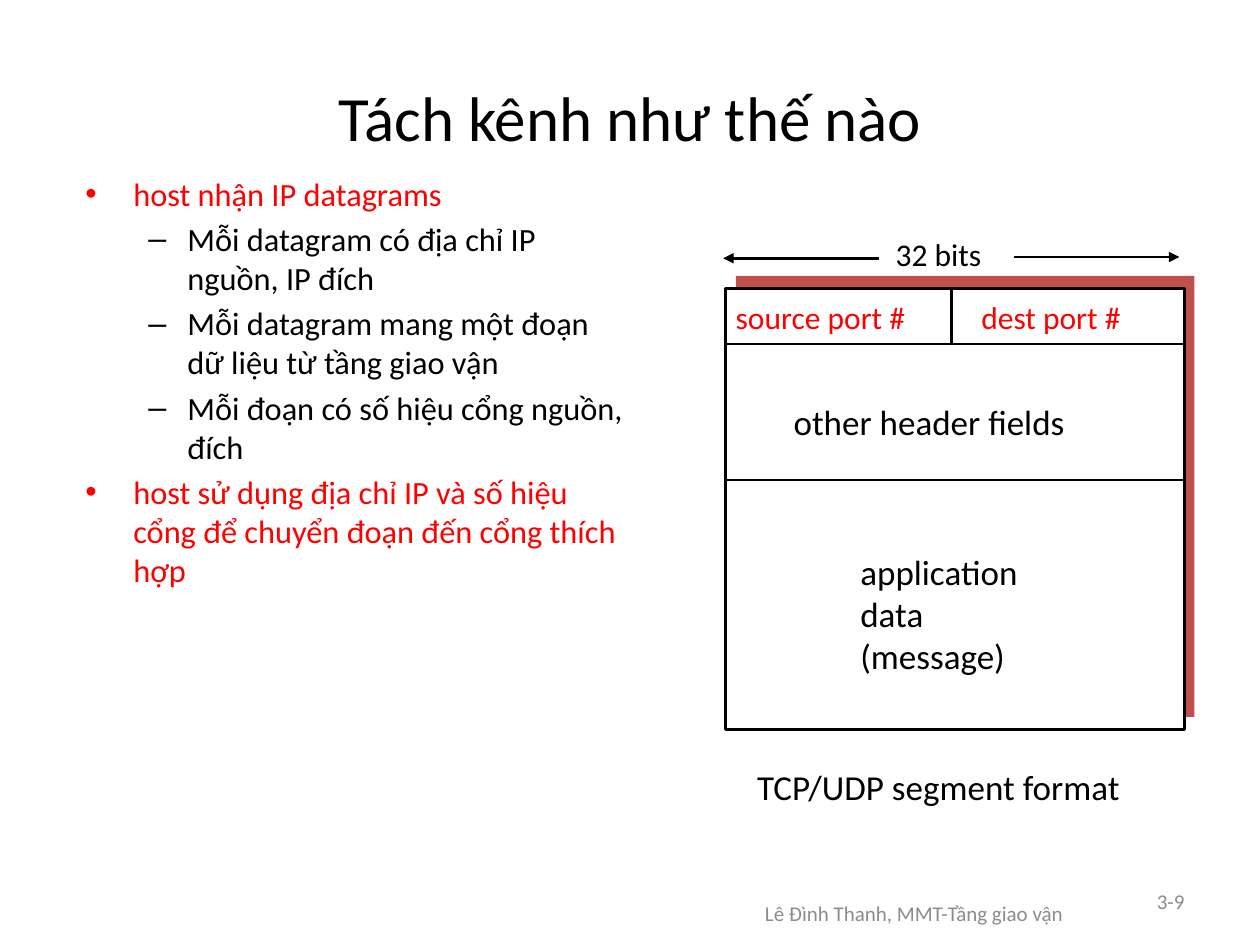
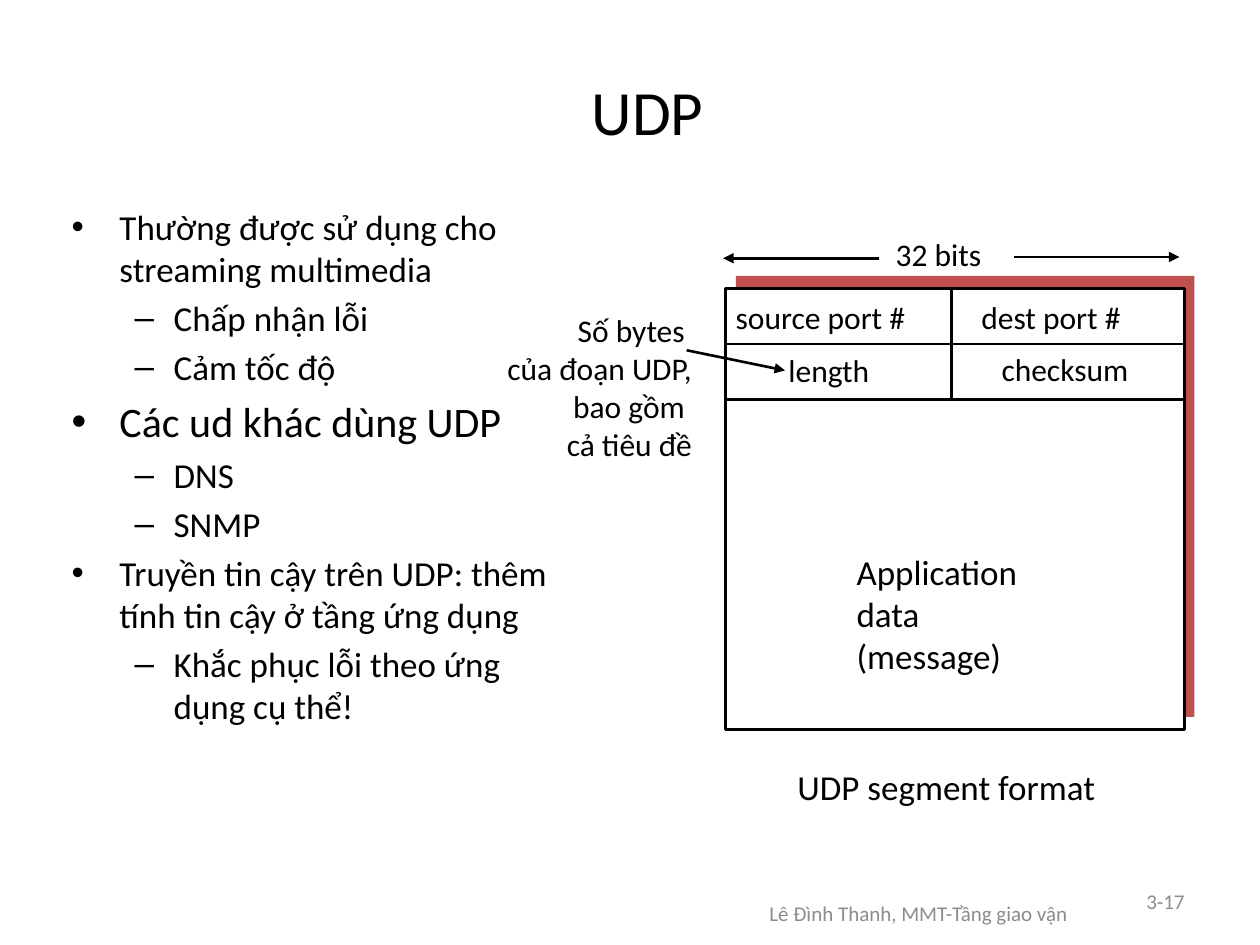
"""Builds two slides on demultiplexing and UDP segments."""
import pptx
import pptx.dml.color
import pptx.enum.shapes
import pptx.enum.text
import pptx.oxml.ns
import pptx.util
from lxml import etree

Inches = pptx.util.Inches
Pt = pptx.util.Pt
ALIGN = pptx.enum.text.PP_ALIGN
ANCHOR = pptx.enum.text.MSO_ANCHOR
FONT = "Calibri"
BLACK, WHITE, RED = "000000", "FFFFFF", "FF0000"
BRICK, GREY = "C0504D", "8C8C8C"
LEFT, RIGHT, MID = 5.75, 9.39, 7.55
TOP, ROW = 2.29, 0.44
BULLETS = [("•", 0.38, -0.38), ("–", 0.81, -0.31)]


def color(code):
    """Return the colour for a hex string."""
    return pptx.dml.color.RGBColor.from_string(code)


def child(parent, tag, **attrs):
    """Append a drawing element to a parent."""
    return etree.SubElement(parent, pptx.oxml.ns.qn(tag), **attrs)


def style(para, size, code):
    """Format all runs of a paragraph."""
    for run in para.runs:
        run.font.name = FONT
        run.font.size = Pt(size)
        run.font.color.rgb = color(code)


def text(slide, box, lines, size=18, code=BLACK, align=ALIGN.LEFT, anchor=ANCHOR.TOP):
    """Add a text box with one paragraph per line."""
    frame = slide.shapes.add_textbox(*map(Inches, box)).text_frame
    frame.word_wrap = True
    frame.vertical_anchor = anchor
    frame.text = lines
    for para in frame.paragraphs:
        para.alignment = align
        style(para, size, code)


def title(slide, box, words):
    """Add the centred slide title."""
    text(slide, box, words, 36, BLACK, ALIGN.CENTER, ANCHOR.MIDDLE)


def footer(slide, left, width, page):
    """Add the author line and the page number."""
    text(slide, (left, 7, width, 0.5), "Lê Đình Thanh, MMT-Tầng giao vận",
         12, GREY, ALIGN.CENTER, ANCHOR.MIDDLE)
    text(slide, (7.17, 6.95, 2.33, 0.4), page, 12, GREY, ALIGN.RIGHT, ANCHOR.MIDDLE)


def bullets(slide, box, items):
    """Add a list of (level, words, size, colour) items."""
    frame = slide.shapes.add_textbox(*map(Inches, box)).text_frame
    frame.word_wrap = True
    for pos, (level, words, size, code) in enumerate(items):
        para = frame.add_paragraph() if pos else frame.paragraphs[0]
        para.text = words
        para.level = level
        mark, left, indent = BULLETS[level]
        props = para._p.get_or_add_pPr()
        props.set("marL", str(Inches(left)))
        props.set("indent", str(Inches(indent)))
        child(props, "a:buFont", typeface="Arial")
        child(props, "a:buChar", char=mark)
        if pos:
            para.space_before = Pt(size * 0.2)
        style(para, size, code)


def line(slide, start, end, arrow=False):
    """Add a black line, with an arrowhead at its end if asked."""
    kind = pptx.enum.shapes.MSO_CONNECTOR.STRAIGHT
    link = slide.shapes.add_connector(kind, *map(Inches, start + end))
    link.line.width = Pt(1.5)
    link.line.color.rgb = color(BLACK)
    if arrow:
        child(link.line._get_or_add_ln(), "a:tailEnd", type="triangle")
    child(link._element.spPr, "a:effectLst")


def panel(slide, left, top, fill, edge=None):
    """Add one rectangle of the segment frame."""
    kind = pptx.enum.shapes.MSO_SHAPE.RECTANGLE
    rect = slide.shapes.add_shape(kind, *map(Inches, (left, top, 3.64, 3.5)))
    rect.shadow.inherit = False
    rect.fill.solid()
    rect.fill.fore_color.rgb = color(fill)
    if edge:
        rect.line.color.rgb = color(edge)
        rect.line.width = Pt(1.5)
    else:
        rect.line.fill.background()


def segment(slide, ink, split, data, left, name, start):
    """Draw the segment frame, its port row, data field and caption."""
    panel(slide, 5.84, 2.19, BRICK)
    panel(slide, 5.76, TOP, WHITE, BLACK)
    text(slide, (5.74, 2.32, 1.83, 0.4), "source port #", 18, ink)
    text(slide, (7.69, 2.32, 1.59, 0.4), "dest port #", 18, ink)
    for y in (TOP + ROW, split):
        line(slide, (LEFT, y), (RIGHT, y))
    line(slide, (MID, TOP), (MID, TOP + ROW))
    text(slide, (7.01, 1.82, 1.04, 0.4), "32 bits")
    line(slide, (8.05, 2.04), (9.36, 2.04), True)
    line(slide, (6.98, 2.05), (5.74, 2.05), True)
    text(slide, (left, 4.32, 1.64, 1.1), data + "\ndata\n(message)", 20)
    text(slide, (start, 6.03, 3.55, 0.43), name, 20)


def demux(slide):
    """Build the slide on demultiplexing."""
    footer(slide, 5.42, 3.67, "3-9")
    title(slide, (0.5, 0.3, 9, 1.25), "Tách kênh như thế nào")
    bullets(slide, (0.58, 1.33, 4.5, 3.05), [
        (0, "host nhận IP datagrams", 18.5, RED),
        (1, "Mỗi datagram có địa chỉ IP nguồn, IP đích", 18.5, BLACK),
        (1, "Mỗi datagram mang một đoạn dữ liệu từ tầng giao vận", 18.5, BLACK),
        (1, "Mỗi đoạn có số hiệu cổng nguồn, đích", 18.5, BLACK),
        (0, "host sử dụng địa chỉ IP và số hiệu cổng để chuyển đoạn "
            "đến cổng thích hợp", 18.5, RED),
    ])
    segment(slide, RED, 3.81, "application", 6.73, "TCP/UDP segment format", 5.91)
    text(slide, (6.2, 3.13, 2.74, 0.43), "other header fields", 20)


def udp(slide):
    """Build the slide on UDP."""
    footer(slide, 5.5, 3.58, "3-17")
    title(slide, (0.58, 0.25, 9.12, 1.25), "UDP")
    bullets(slide, (0.47, 1.58, 4.17, 5.08), [
        (0, "Thường được sử dụng cho streaming multimedia", 20, BLACK),
        (1, "Chấp nhận lỗi", 20, BLACK),
        (1, "Cảm tốc độ", 20, BLACK),
        (0, "Các ud khác dùng UDP", 24, BLACK),
        (1, "DNS", 20, BLACK),
        (1, "SNMP", 20, BLACK),
        (0, "Truyền tin cậy trên UDP: thêm tính tin cậy ở tầng ứng dụng", 20, BLACK),
        (1, "Khắc phục lỗi theo ứng dụng cụ thể!", 20, BLACK),
    ])
    base = TOP + 2 * ROW
    segment(slide, BLACK, base, "Application", 6.7, "UDP segment format", 6.23)
    line(slide, (MID, TOP + ROW), (MID, base))
    text(slide, (6.16, 2.74, 0.93, 0.4), "length")
    text(slide, (7.85, 2.73, 1.32, 0.4), "checksum")
    text(slide, (3.75, 2.42, 1.84, 1.31),
         "Số bytes \ncủa đoạn UDP,\nbao gồm \ncả tiêu đề", align=ALIGN.RIGHT)
    line(slide, (5.45, 2.78), (6.23, 2.94), True)


def main():
    """Build and save the deck."""
    deck = pptx.Presentation()
    deck.slide_width, deck.slide_height = Inches(10), Inches(7.5)
    for build in (demux, udp):
        build(deck.slides.add_slide(deck.slide_layouts[6]))
    deck.save("out.pptx")


if __name__ == "__main__":
    main()
